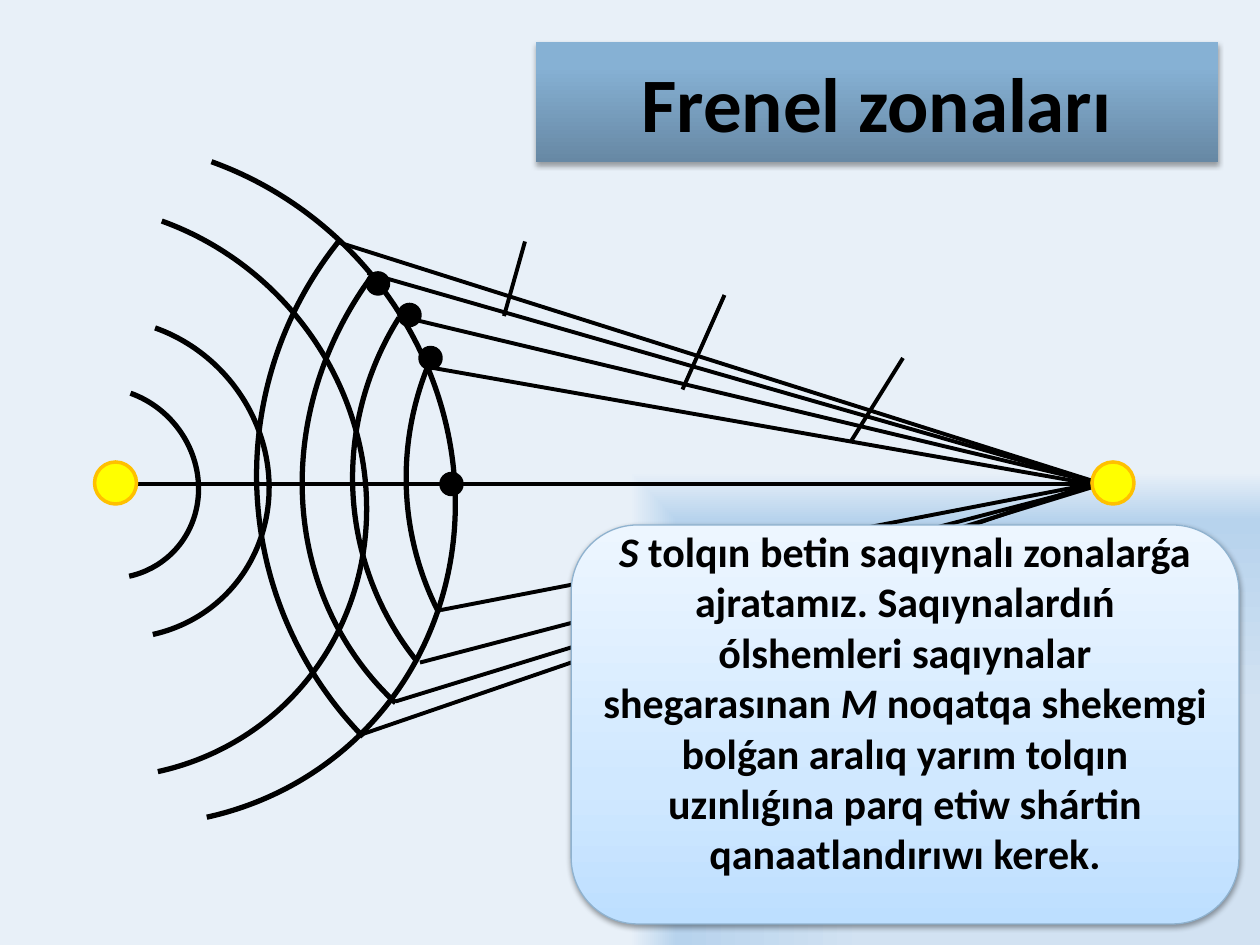
from typing import NamedTuple

from lxml.etree import SubElement
from pptx import Presentation
from pptx.dml.color import RGBColor
from pptx.enum.shapes import MSO_CONNECTOR, MSO_SHAPE
from pptx.enum.text import MSO_ANCHOR, PP_ALIGN
from pptx.oxml.ns import qn
from pptx.util import Emu, Pt

EMU_PER_PX = 7620
BLACK = RGBColor(0x00, 0x00, 0x00)
YELLOW = RGBColor(0xFF, 0xFF, 0x00)
AMBER = RGBColor(0xFF, 0xC0, 0x00)
PANEL_EDGE = RGBColor(0x8F, 0xB2, 0xCF)
BACKDROP_STOPS = [
    (50, RGBColor(0xD2, 0xE2, 0xF2)),
    (90, RGBColor(0xB7, 0xD3, 0xED)),
    (100, RGBColor(0xE8, 0xF0, 0xF8)),
]
TITLE_STOPS = [
    (0, RGBColor(0x67, 0x88, 0xA4)),
    (80, RGBColor(0x86, 0xB1, 0xD4)),
    (100, RGBColor(0x86, 0xB2, 0xD7)),
]
PANEL_STOPS = [
    (0, RGBColor(0xBD, 0xDF, 0xFF)),
    (35, RGBColor(0xD0, 0xE8, 0xFF)),
    (100, RGBColor(0xED, 0xF6, 0xFF)),
]
FONT = "Calibri"


class Arc(NamedTuple):
    left: int
    top: int
    width: int
    height: int
    rotation: float = 46.5
    start: float = 144.18
    end: float = 16.84


class Segment(NamedTuple):
    x1: int
    y1: int
    x2: int
    y2: int


class Disc(NamedTuple):
    left: int
    top: int
    size: int
    fill: RGBColor
    edge: RGBColor


OUTER_WAVE = Arc(-226, 145, 670, 630)
INNER_WAVES = [Arc(5, 372, 187, 176), Arc(-52, 308, 313, 295), Arc(-205, 203, 563, 529)]
ZONE_ARCS = [
    Arc(389, 166, 560, 569, 223.7, 173, 202.6),
    Arc(338, 166, 560, 569, 223.7, 166.64, 208.89),
    Arc(301, 110, 592, 646, 223.7, 161.57, 211.07),
    Arc(244, 97, 713, 712, 230.2, 159.3, 209.24),
]
AXIS_Y = 461
OPTICAL_AXIS = Segment(110, AXIS_Y, 1050, AXIS_Y)
ZONE_EDGES = [
    (410, 350, 1040), (420, 581, 1040), (380, 301, 1050), (400, 631, 1050),
    (350, 260, 1050), (377, 668, 1050), (320, 230, 1050), (340, 701, 1040),
]
RAYS = [Segment(x, y, focus_x, AXIS_Y) for x, y, focus_x in ZONE_EDGES]
RAY_MARKS = [
    Segment(860, 341, 810, 421), Segment(690, 281, 650, 371), Segment(500, 230, 480, 301),
]
SOURCES = [Disc(x, 440, 40, YELLOW, AMBER) for x in (90, 1040)]
ZONE_POINTS = [
    Disc(x, y, 20, BLACK, BLACK) for x, y in ((420, 451), (400, 331), (380, 290), (350, 260))
]
EXPLANATION = [
    ("S ", True),
    ("tolqın betin saqıynalı zonalarǵa ajratamız. Saqıynalardıń ólshemleri "
     "saqıynalar shegarasınan ", False),
    ("М ", True),
    ("noqatqa shekemgi bolǵan aralıq yarım tolqın uzınlıǵına parq etiw shártin "
     "qanaatlandırıwı kerek.", False),
]


def px(length: int) -> Emu:
    return Emu(length * EMU_PER_PX)


def set_gradient(owner, fill, stops: list, radial: bool = False) -> None:
    fill.gradient()
    gradient = owner.find(".//" + qn("a:gradFill"))
    for child in list(gradient):
        gradient.remove(child)
    stop_list = SubElement(gradient, qn("a:gsLst"))
    for position, color in stops:
        stop = SubElement(stop_list, qn("a:gs"), pos=str(position * 1000))
        SubElement(stop, qn("a:srgbClr"), val=str(color))
    if radial:
        shade = SubElement(gradient, qn("a:path"), {"path": "rect"})
        SubElement(shade, qn("a:fillToRect"), l="100000", t="100000")
    else:
        SubElement(gradient, qn("a:lin"), ang="16200000", scaled="0")


def add_shadow(shape, opacity: int, distance: float) -> None:
    shape.shadow.inherit = False
    effects = shape.element.spPr.find(qn("a:effectLst"))
    shadow = SubElement(
        effects, qn("a:outerShdw"), blurRad=str(Pt(3.1)), dist=str(Pt(distance)),
        dir="5400000", rotWithShape="0",
    )
    tint = SubElement(shadow, qn("a:srgbClr"), val=str(BLACK))
    SubElement(tint, qn("a:alpha"), val=str(opacity * 1000))


def set_outline(shape, color: RGBColor, width: float) -> None:
    shape.line.color.rgb = color
    shape.line.width = Pt(width)


def format_run(run, size: int, italic: bool = False) -> None:
    run.font.name = FONT
    run.font.size = Pt(size)
    run.font.bold = True
    run.font.italic = italic
    run.font.color.rgb = BLACK


def draw_arc(slide, arc: Arc) -> None:
    curve = slide.shapes.add_shape(
        MSO_SHAPE.ARC, px(arc.left), px(arc.top), px(arc.width), px(arc.height))
    curve.rotation = arc.rotation
    curve.adjustments[0] = arc.start
    curve.adjustments[1] = arc.end
    curve.fill.background()
    curve.shadow.inherit = False
    set_outline(curve, BLACK, 3)


def draw_segment(slide, segment: Segment) -> None:
    line = slide.shapes.add_connector(MSO_CONNECTOR.STRAIGHT, *map(px, segment))
    set_outline(line, BLACK, 2.25)
    SubElement(line.element.spPr, qn("a:effectLst"))


def draw_disc(slide, disc: Disc) -> None:
    circle = slide.shapes.add_shape(
        MSO_SHAPE.OVAL, px(disc.left), px(disc.top), px(disc.size), px(disc.size))
    circle.fill.solid()
    circle.fill.fore_color.rgb = disc.fill
    circle.shadow.inherit = False
    set_outline(circle, disc.edge, 2)


def draw_title(slide) -> None:
    title = slide.shapes.title
    title.left, title.top, title.width, title.height = map(px, (510, 40, 650, 114))
    set_gradient(title.element, title.fill, TITLE_STOPS)
    add_shadow(title, 35, 1.8)
    title.text_frame.text = "Frenel zonaları"
    title.text_frame.vertical_anchor = MSO_ANCHOR.MIDDLE
    heading = title.text_frame.paragraphs[0]
    heading.alignment = PP_ALIGN.CENTER
    format_run(heading.runs[0], 44)


def draw_explanation(slide) -> None:
    panel = slide.shapes.add_shape(
        MSO_SHAPE.ROUNDED_RECTANGLE, *map(px, (544, 500, 636, 380)))
    set_gradient(panel.element, panel.fill, PANEL_STOPS)
    set_outline(panel, PANEL_EDGE, 0.75)
    add_shadow(panel, 38, 1.6)
    frame = panel.text_frame
    frame.word_wrap = True
    frame.vertical_anchor = MSO_ANCHOR.MIDDLE
    frame.margin_top = px(0)
    frame.margin_bottom = px(43)
    paragraph = frame.paragraphs[0]
    paragraph.alignment = PP_ALIGN.CENTER
    for words, italic in EXPLANATION:
        run = paragraph.add_run()
        run.text = words
        format_run(run, 24, italic)


def main() -> None:
    presentation = Presentation()
    presentation.slide_width, presentation.slide_height = px(1200), px(900)
    slide = presentation.slides.add_slide(presentation.slide_layouts[5])
    set_gradient(slide.element, slide.background.fill, BACKDROP_STOPS, radial=True)
    draw_title(slide)
    draw_arc(slide, OUTER_WAVE)
    draw_segment(slide, OPTICAL_AXIS)
    for arc in ZONE_ARCS:
        draw_arc(slide, arc)
    for ray in RAYS:
        draw_segment(slide, ray)
    for source in SOURCES:
        draw_disc(slide, source)
    for wave in INNER_WAVES:
        draw_arc(slide, wave)
    for point in ZONE_POINTS:
        draw_disc(slide, point)
    for mark in RAY_MARKS:
        draw_segment(slide, mark)
    draw_explanation(slide)
    presentation.save("out.pptx")


if __name__ == "__main__":
    main()
